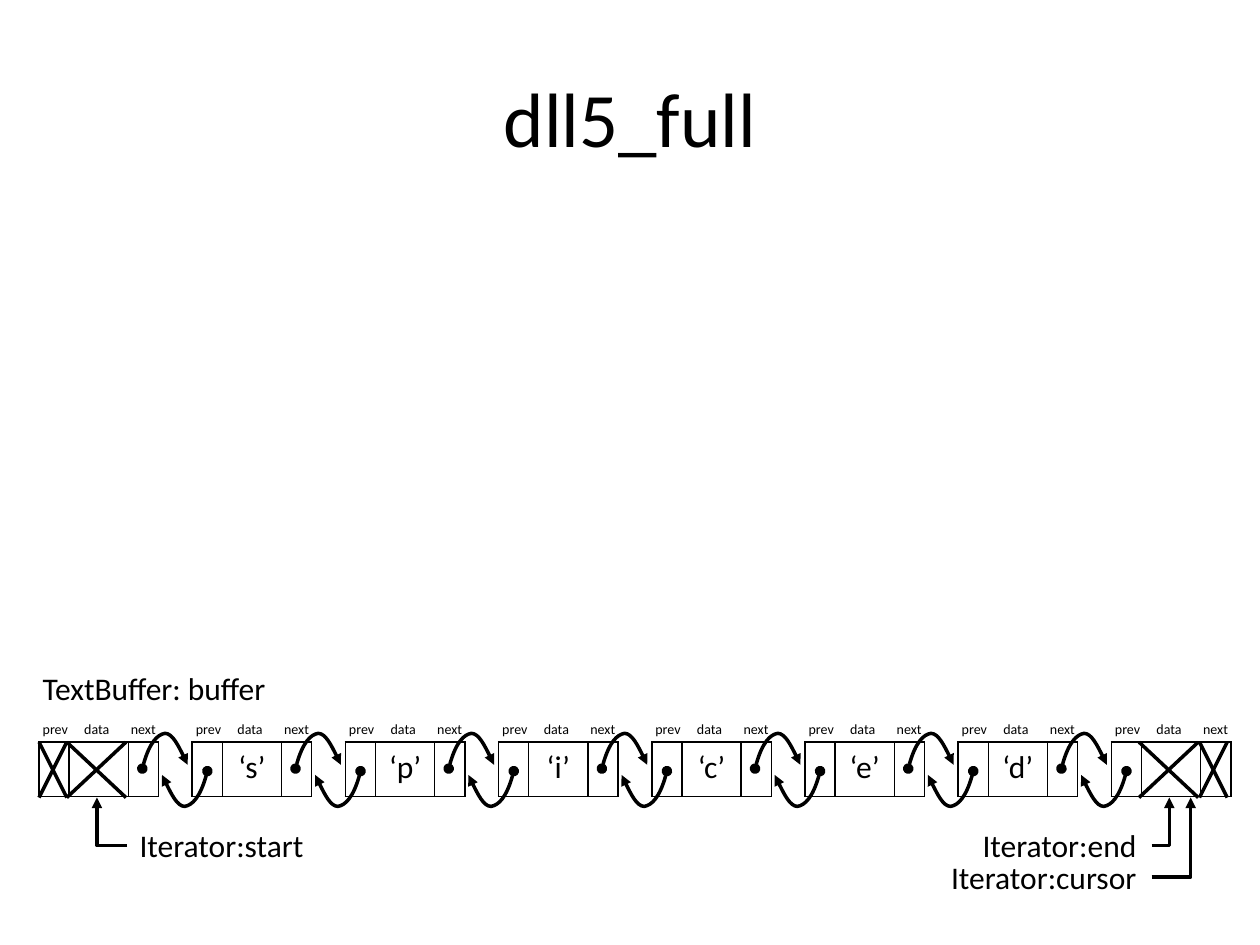
from pptx import Presentation
from pptx.dml.color import RGBColor
from pptx.enum.shapes import MSO_CONNECTOR as CONNECTOR
from pptx.enum.text import MSO_ANCHOR as ANCHOR, MSO_AUTO_SIZE as AUTO_SIZE, PP_ALIGN as ALIGN
from pptx.oxml.ns import qn
from pptx.util import Inches, Pt
from lxml.etree import SubElement

BLACK = RGBColor(0, 0, 0)
WHITE = RGBColor(255, 255, 255)
FONT = "Calibri"

# Doubly linked list: None marks a sentinel node without data
NODES = [None, "‘s’", "‘p’", "‘i’", "‘c’", "‘e’", "‘d’", None]
FIRST_LEFT, PITCH = 0.31, 8.51 / 7
TOP, HEIGHT = 5.89, 0.43
BOTTOM = TOP + HEIGHT + 0.01
COLUMN_WIDTHS = [0.23, 0.47, 0.23]
LABELS = [("prev", -0.07), ("data", 0.26), ("next", 0.63)]
# Start point, then two cubic Bézier segments of three points each
ARC = [(0, 0.28), (0.05, 0.08), (0.12, 0.01), (0.18, 0),
       (0.24, 0), (0.33, 0.18), (0.36, 0.25)]

presentation = Presentation()
presentation.slide_width, presentation.slide_height = Inches(10), Inches(7.5)
slide = presentation.slides.add_slide(presentation.slide_layouts[6])
shapes = slide.shapes


def add_text(text, left, top, width, height, size, wrap=False):
    box = shapes.add_textbox(Inches(left), Inches(top), Inches(width), Inches(height))
    frame = box.text_frame
    frame.word_wrap = wrap
    frame.auto_size = AUTO_SIZE.SHAPE_TO_FIT_TEXT
    run = frame.paragraphs[0].add_run()
    run.text = text
    run.font.name, run.font.size = FONT, Pt(size)
    run.font.color.rgb = BLACK
    return box


def style_line(shape, head="none", tail="none"):
    shape.line.color.rgb = BLACK
    shape.line.width = Pt(2)
    properties = shape._element.spPr
    line = properties.find(qn("a:ln"))
    SubElement(line, qn("a:headEnd"), type=head)
    SubElement(line, qn("a:tailEnd"), type=tail)
    if properties.find(qn("a:effectLst")) is None:
        SubElement(properties, qn("a:effectLst"))


# Title
title = add_text("dll5_full", 0.5, 0.3, 9, 1.25, 44, wrap=True)
title.text_frame.auto_size = AUTO_SIZE.NONE
title.text_frame.vertical_anchor = ANCHOR.MIDDLE
title.text_frame.paragraphs[0].alignment = ALIGN.CENTER

# Nodes with their labels
for index, data in enumerate(NODES):
    left = FIRST_LEFT + index * PITCH
    table = shapes.add_table(1, 3, Inches(left), Inches(TOP),
                             Inches(sum(COLUMN_WIDTHS)), Inches(HEIGHT)).table
    for column, width in enumerate(COLUMN_WIDTHS):
        table.columns[column].width = Inches(width)
        cell = table.cell(0, column)
        properties = cell._tc.get_or_add_tcPr()
        for side in ("a:lnL", "a:lnR", "a:lnT", "a:lnB"):
            border = SubElement(properties, qn(side), w=str(Pt(1)))
            border_fill = SubElement(border, qn("a:solidFill"))
            SubElement(border_fill, qn("a:srgbClr"), val=str(BLACK))
        cell.fill.solid()
        cell.fill.fore_color.rgb = WHITE
    if data:
        paragraph = table.cell(0, 1).text_frame.paragraphs[0]
        paragraph.alignment = ALIGN.CENTER
        run = paragraph.add_run()
        run.text = data
        run.font.name, run.font.size = FONT, Pt(18)
        run.font.bold = False
        run.font.color.rgb = BLACK
    for label, offset in LABELS:
        add_text(label, left + offset, 5.67, 0.41, 0.24, 8)

# Curved next and prev arrows across each gap
for gap in range(len(NODES) - 1):
    node_left = FIRST_LEFT + gap * PITCH
    for arc_left, arc_top, rotation in [(node_left + 0.82, 5.82, 0),
                                        (node_left + PITCH - 0.24, 6.12, 180)]:
        points = [(Inches(arc_left + x), Inches(arc_top + y)) for x, y in ARC]
        builder = shapes.build_freeform(*points[0])
        builder.add_line_segments(points[1:], close=False)
        arrow = builder.convert_to_shape()
        arrow.rotation = rotation
        # Regroup the straight segments as Bézier curves
        segments = list(arrow._element.iter(qn("a:lnTo")))
        outline = segments[0].getparent()
        for start in (0, 3):
            curve = SubElement(outline, qn("a:cubicBezTo"))
            for segment in segments[start:start + 3]:
                curve.append(segment[0])
                outline.remove(segment)
        arrow.fill.background()
        arrow.shadow.inherit = False
        style_line(arrow, "oval", "triangle")

# Crosses over the empty fields
for left, right in [(0.31, 0.53), (0.53, 1), (9.04, 9.51), (9.52, 9.74)]:
    for start, end in [(BOTTOM, TOP), (TOP, BOTTOM)]:
        stroke = shapes.add_connector(CONNECTOR.STRAIGHT, Inches(left), Inches(start),
                                      Inches(right), Inches(end))
        style_line(stroke)

# Iterators: text, text box left, top and width, elbow start x, y and end x
for text, left, top, width, start_x, start_y, end_x in [
    ("Iterator:start", 1.01, 6.51, 1.57, 1.01, 6.71, 0.77),
    ("Iterator:end", 7.7, 6.51, 1.44, 9.14, 6.71, 9.28),
    ("Iterator:cursor", 7.45, 6.76, 1.69, 9.14, 6.96, 9.45),
]:
    add_text(text, left, top, width, 0.4, 18)
    elbow = shapes.add_connector(CONNECTOR.ELBOW, Inches(start_x), Inches(start_y),
                                 Inches(end_x), Inches(BOTTOM))
    elbow._element.spPr.find(qn("a:prstGeom")).set("prst", "bentConnector2")
    style_line(elbow, tail="triangle")

# Buffer name
add_text("TextBuffer: buffer", 0.24, 5.26, 5, 0.4, 18, wrap=True)

presentation.save("out.pptx")
